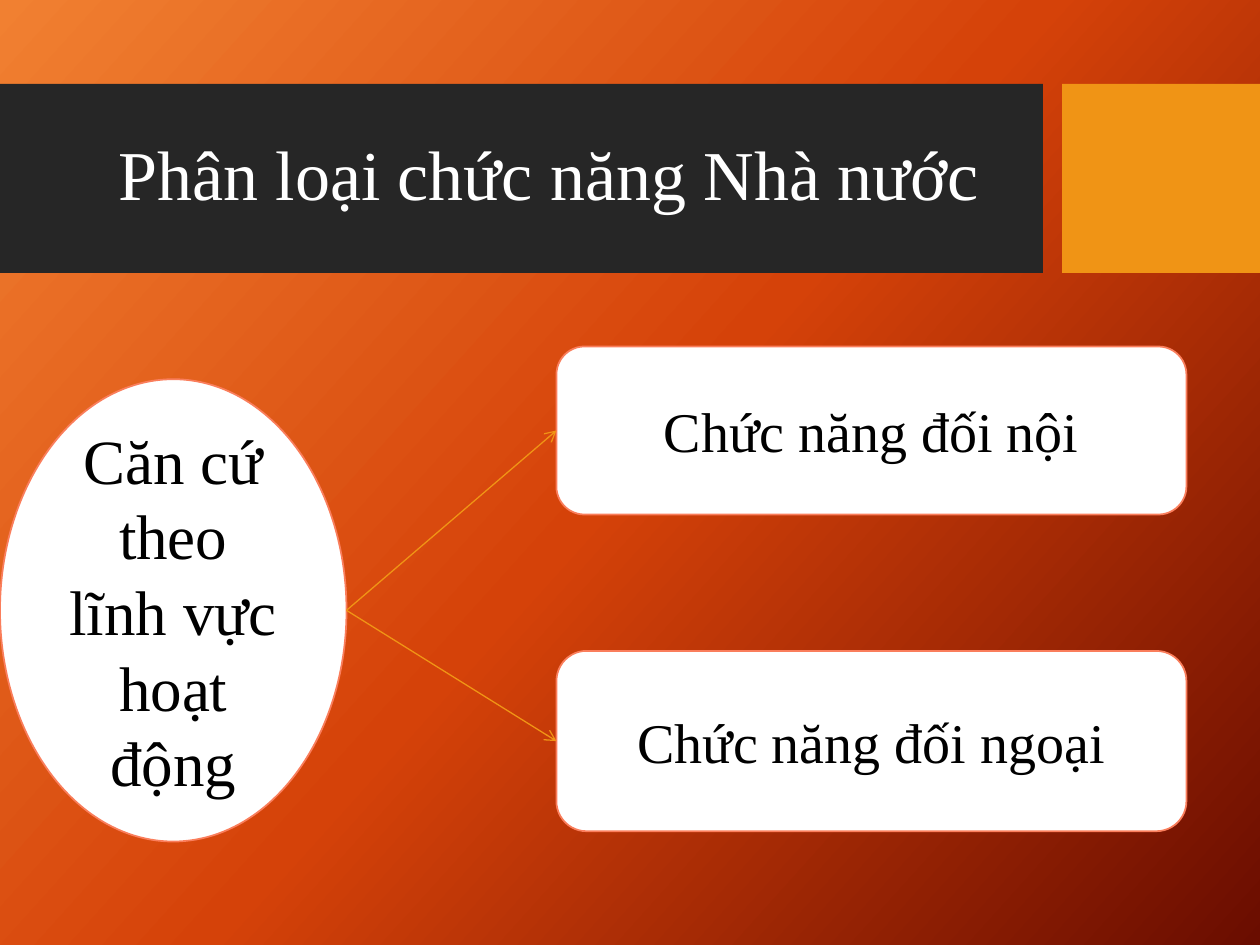
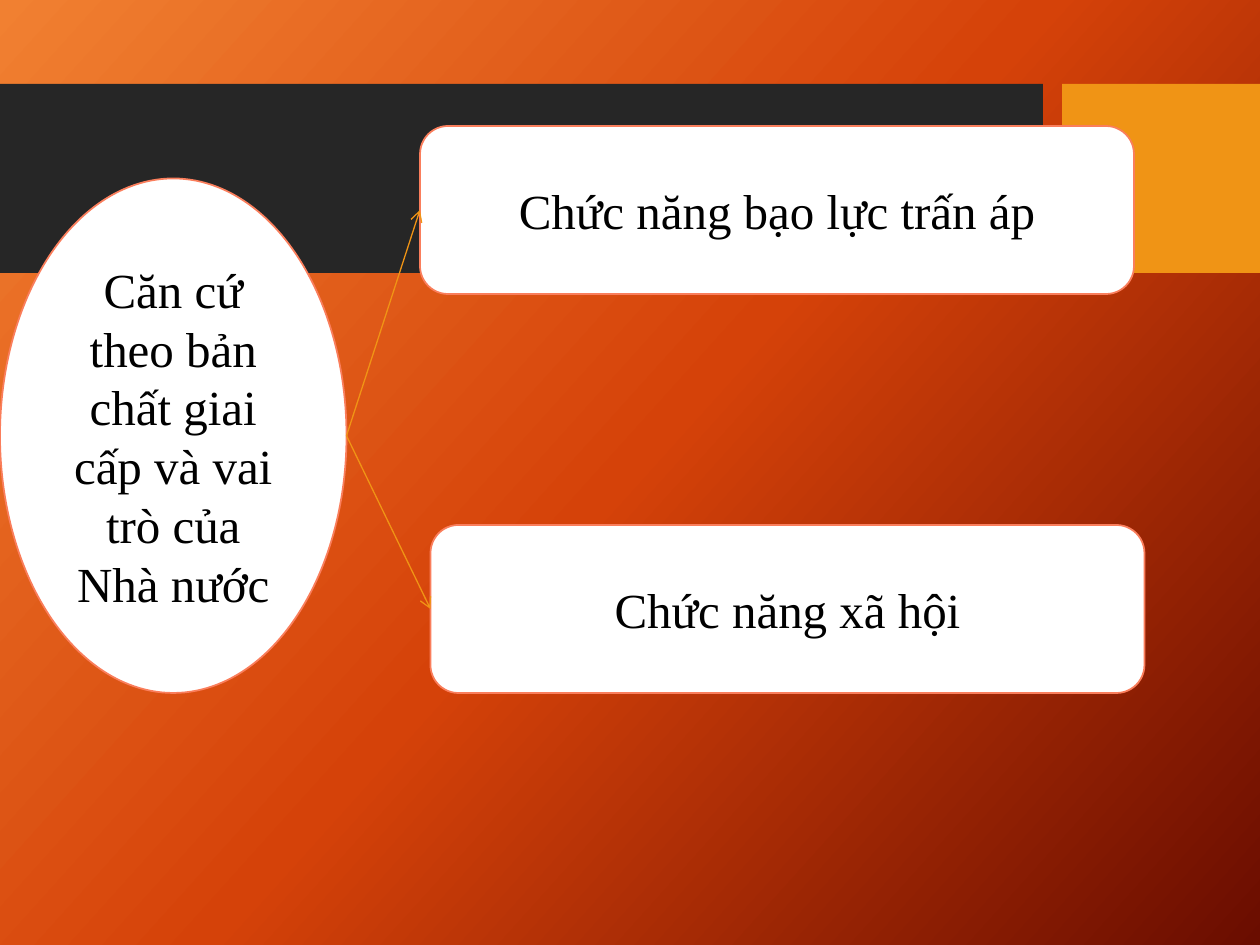
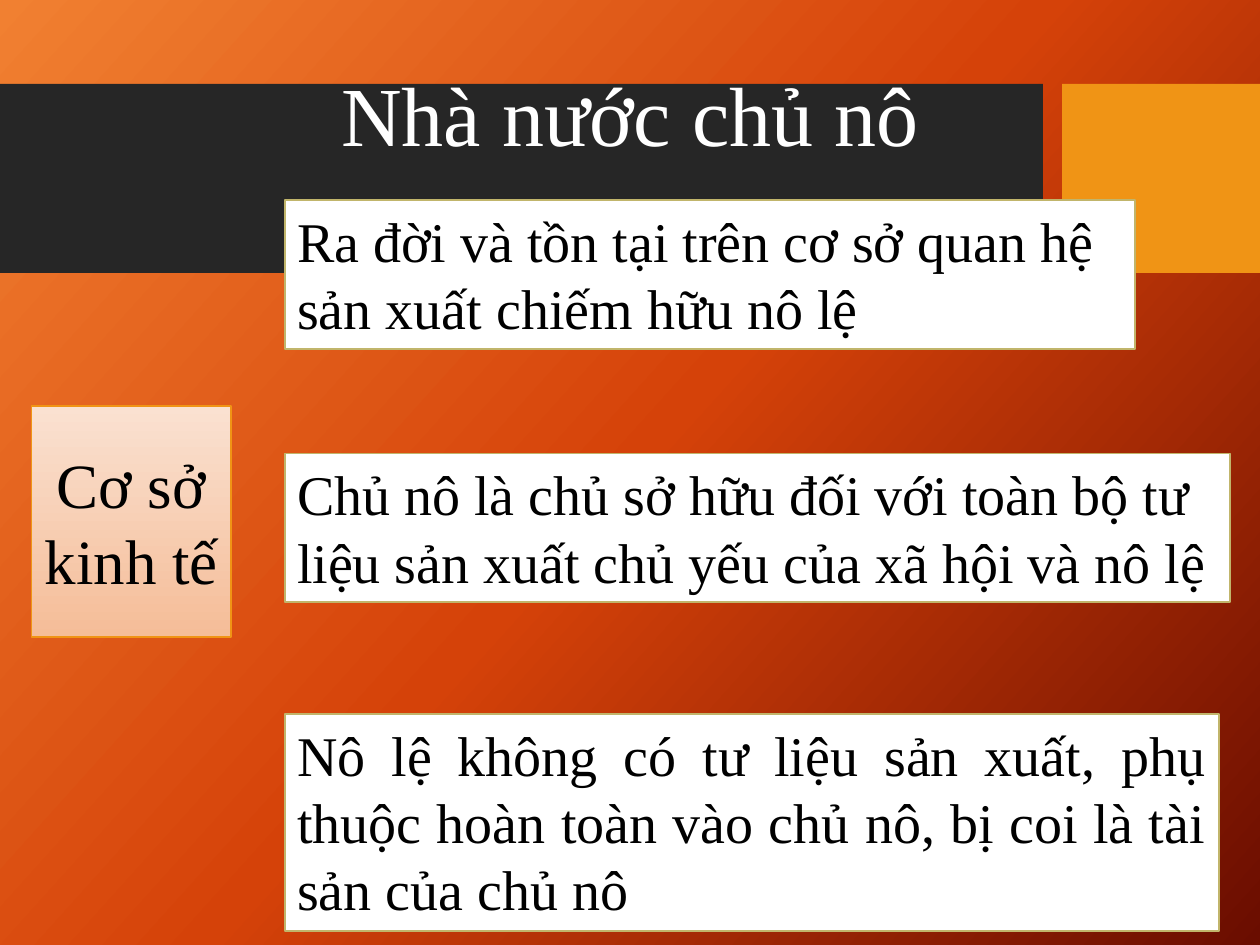
from lxml.etree import SubElement
from pptx import Presentation
from pptx.dml.color import RGBColor
from pptx.enum.shapes import MSO_CONNECTOR, MSO_SHAPE as SHAPE
from pptx.enum.text import MSO_ANCHOR as ANCHOR, PP_ALIGN as ALIGN
from pptx.oxml.ns import qn
from pptx.util import Pt

FONT = "Times New Roman"
WHITE = RGBColor(0xFF, 0xFF, 0xFF)
BLACK = RGBColor(0, 0, 0)
CHARCOAL = RGBColor(0x26, 0x26, 0x26)
AMBER = RGBColor(0xF0, 0x94, 0x15)
CORAL = RGBColor(0xFA, 0x7E, 0x5C)
KHAKI = RGBColor(0xC1, 0xB5, 0x6B)
BACKDROP = [(0, RGBColor(0xF1, 0x80, 0x31)), (50, RGBColor(0xD5, 0x42, 0x09)),
            (100, RGBColor(0x6A, 0x0D, 0))]
PEACH = [(0, RGBColor(0xFA, 0xE1, 0xD1)), (100, RGBColor(0xF5, 0xBD, 0x98))]

# Content: boxes are (left, top, width, height) in points
BANDS = [((0, 48, 596, 108), CHARCOAL), ((607, 48, 113, 108), AMBER)]

BRANCH_SLIDES = [
    {"title": ("Phân loại chức năng Nhà nước", (42, 59, 543, 85), 40),
     "basis": ("Căn cứ theo lĩnh vực hoạt động", (0, 216.7, 198, 264.2), 36),
     "functions": [("Chức năng đối nội", (318, 198, 360, 96), 32),
                   ("Chức năng đối ngoại", (318, 372, 360, 103), 32)]},
    {"title": None,
     "basis": ("Căn cứ theo bản chất giai cấp và vai trò của Nhà nước",
               (0, 102, 198, 294), 28),
     "functions": [("Chức năng bạo lực trấn áp", (240, 72, 408, 96), 28),
                   ("Chức năng xã hội", (246, 300, 408, 96), 28)]},
]

SLAVE_STATE = {
    "title": ("Nhà nước chủ nô", (36, 23, 648, 90), 48),
    "basis": ("Cơ sở kinh tế", (18, 232, 114, 132), 36),
    "notes_left": 162.7,
    "notes": [  # text, top, width, height, alignment
        ("Ra đời và tồn tại trên cơ sở quan hệ sản xuất chiếm hữu nô lệ",
         114.5, 486, 85, ALIGN.LEFT),
        ("Chủ nô là chủ sở hữu đối với toàn bộ tư liệu sản xuất chủ yếu "
         "của xã hội và nô lệ", 259.2, 540, 85, ALIGN.LEFT),
        ("Nô lệ không có tư liệu sản xuất, phụ thuộc hoàn toàn vào chủ nô, "
         "bị coi là tài sản của chủ nô", 408.2, 534, 124, ALIGN.JUSTIFY)],
}


def set_gradient(fill, element, stops, angle):
    """Fill with stops of (percent, colour); the angle runs clockwise."""
    fill.gradient()
    fill.gradient_angle = 360 - angle
    gs_list = element.find(".//" + qn("a:gsLst"))
    gs_list.clear()
    for percent, color in stops:
        gs = SubElement(gs_list, qn("a:gs"), pos=str(percent * 1000))
        SubElement(gs, qn("a:srgbClr"), val=str(color))


def write(sp, text, size, color=BLACK, align=ALIGN.CENTER, anchor=ANCHOR.MIDDLE):
    tf = sp.text_frame
    tf.word_wrap = True
    tf.vertical_anchor = anchor
    p = tf.paragraphs[0]
    p.alignment = align
    r = p.add_run()
    r.text = text
    r.font.name, r.font.size = FONT, Pt(size)
    r.font.color.rgb = color
    return p


def add_box(s, kind, box, fill=WHITE, line=None, weight=1):
    sp = s.shapes.add_shape(kind, *map(Pt, box))
    sp.shadow.inherit = False
    if isinstance(fill, list):
        set_gradient(sp.fill, sp.element, fill, 90)
    else:
        sp.fill.solid()
        sp.fill.fore_color.rgb = fill
    if line is None:
        sp.line.fill.background()
    else:
        sp.line.color.rgb = line
        sp.line.width = Pt(weight)
    return sp


def add_arrow(s, source, target):
    """Arrow from the right side of source to the left side of target."""
    x, y = source.left + source.width, source.top + source.height // 2
    c = s.shapes.add_connector(MSO_CONNECTOR.STRAIGHT, x, y, x, y)
    c.end_connect(target, 1)
    c.line.color.rgb = AMBER
    c.line.width = Pt(0.75)
    SubElement(c.line._get_or_add_ln(), qn("a:tailEnd"), type="arrow")
    SubElement(c.element.spPr, qn("a:effectLst"))


def new_slide(prs, title):
    s = prs.slides.add_slide(prs.slide_layouts[6])
    for box, color in BANDS:
        add_box(s, SHAPE.RECTANGLE, box, color)
    if title:
        text, box, size = title
        p = write(s.shapes.add_textbox(*map(Pt, box)), text, size, WHITE)
        p.line_spacing = 0.9
    return s


def branch_slide(prs, content):
    s = new_slide(prs, content["title"])
    text, box, size = content["basis"]
    basis = add_box(s, SHAPE.OVAL, box, line=CORAL)
    write(basis, text, size)
    cards = []
    for text, box, size in content["functions"]:
        card = add_box(s, SHAPE.ROUNDED_RECTANGLE, box, line=CORAL)
        write(card, text, size)
        cards.append(card)
    for card in cards:
        add_arrow(s, basis, card)


def notes_slide(prs, content):
    s = new_slide(prs, content["title"])
    text, box, size = content["basis"]
    write(add_box(s, SHAPE.RECTANGLE, box, PEACH, AMBER, 0.75), text, size)
    for text, top, width, height, align in content["notes"]:
        box = (content["notes_left"], top, width, height)
        write(add_box(s, SHAPE.RECTANGLE, box, line=KHAKI), text, 32,
              align=align, anchor=ANCHOR.TOP)


def main():
    prs = Presentation()
    prs.slide_width, prs.slide_height = Pt(720), Pt(540)
    # Shared backdrop
    master = prs.slide_master
    set_gradient(master.background.fill, master.element, BACKDROP, 42)
    for content in BRANCH_SLIDES:
        branch_slide(prs, content)
    notes_slide(prs, SLAVE_STATE)
    prs.save("out.pptx")


if __name__ == "__main__":
    main()
